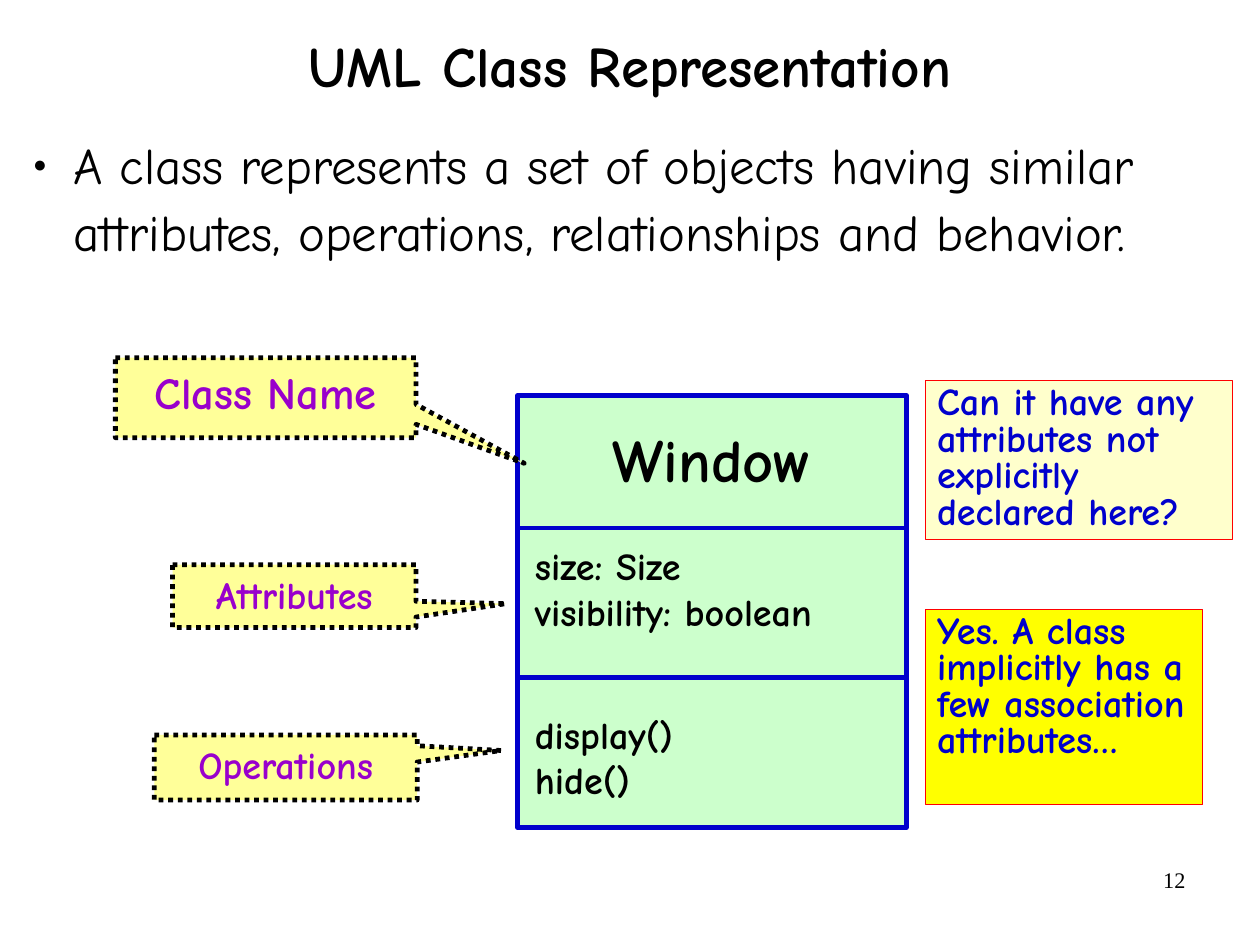
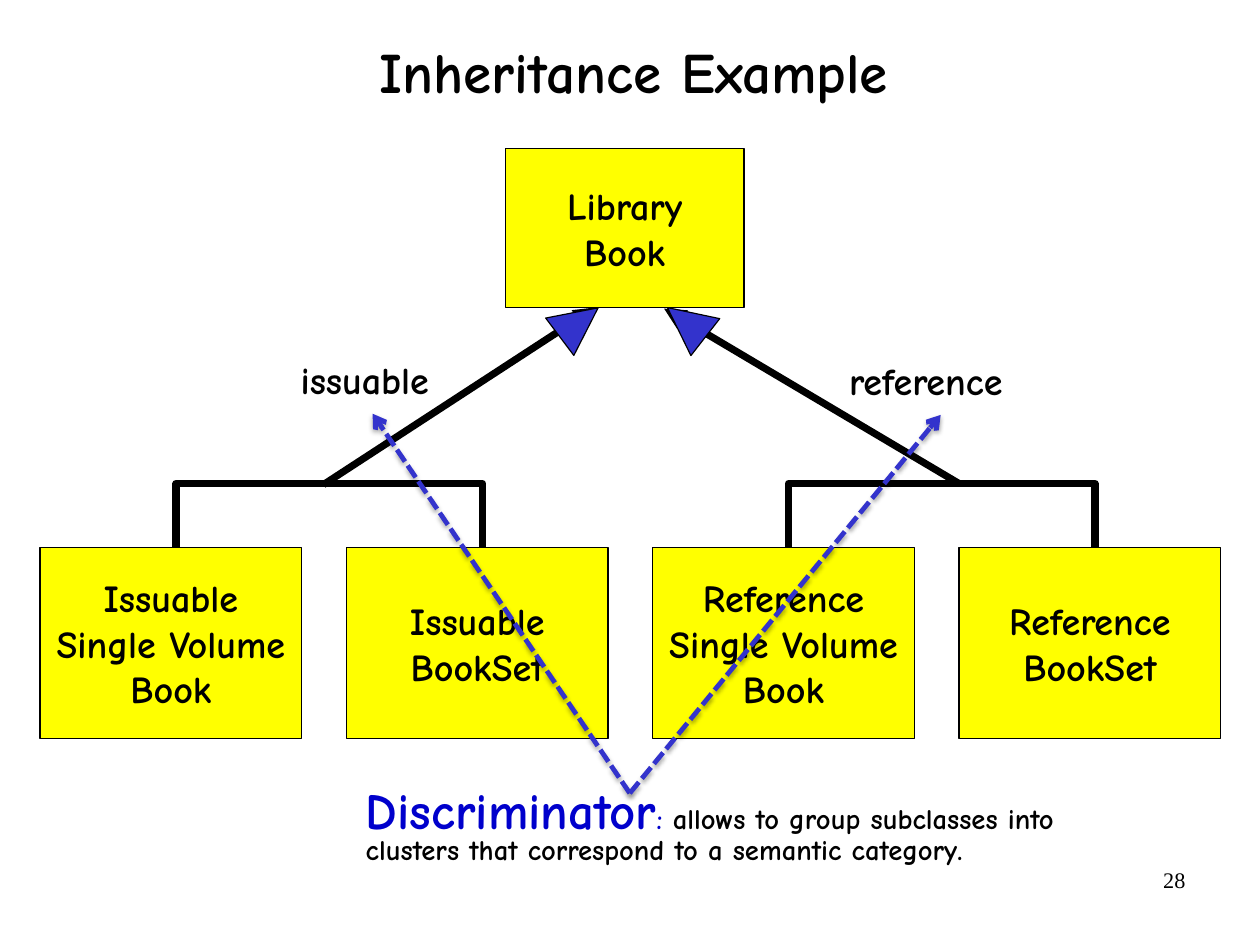
import pptx
import pptx.util
import pptx.dml.color
import pptx.enum.dml
import pptx.enum.shapes
import pptx.enum.text
import pptx.oxml

Inches = pptx.util.Inches
Pt = pptx.util.Pt
RGB = pptx.dml.color.RGBColor.from_string
SHAPE = pptx.enum.shapes.MSO_SHAPE
DASH = pptx.enum.dml.MSO_LINE
ALIGN = {"left": pptx.enum.text.PP_ALIGN.LEFT,
         "center": pptx.enum.text.PP_ALIGN.CENTER,
         "right": pptx.enum.text.PP_ALIGN.RIGHT}
ANCHOR = {"top": pptx.enum.text.MSO_ANCHOR.TOP,
          "middle": pptx.enum.text.MSO_ANCHOR.MIDDLE}
NS = 'xmlns:a="http://schemas.openxmlformats.org/drawingml/2006/main"'
FONT = "Comic Neue"
NUMBER_FONT = "Times New Roman"
COLOURS = {
    "black": "000000", "blue": "0000CC", "arrow": "3333CC", "purple": "9900CC",
    "red": "FF0000", "yellow": "FFFF00", "cream": "FFFFCC", "callout": "FFFF99",
    "green": "CCFFCC",
}
SHADOW = ('<a:outerShdw blurRad="39370" dist="22860" dir="5400000">'
          '<a:srgbClr val="000000"><a:alpha val="35000"/></a:srgbClr></a:outerShdw>')
BULLET = ('<a:buSzPct {0} val="45000"/>',
          '<a:buFont {0} typeface="Times New Roman"/>',
          '<a:buChar {0} char="●"/>')


def add_text(page, area, text, shape=None, fill=None, line=None, line_width=0.75,
             dash=None, size=24, colour="black", bold=True, font=FONT, align="left",
             anchor="top", margins=(0, 0), spacing=None, bullet=False):
    place = [Inches(length) for length in area]
    if shape is None:
        box = page.shapes.add_textbox(*place)
    else:
        box = page.shapes.add_shape(shape, *place)
        box.shadow.inherit = False
        box.fill.solid()
        box.fill.fore_color.rgb = RGB(COLOURS[fill])
        box.line.color.rgb = RGB(COLOURS[line])
        box.line.width = Pt(line_width)
        if dash is not None:
            box.line.dash_style = dash
    frame = box.text_frame
    frame.word_wrap = True
    frame.vertical_anchor = ANCHOR[anchor]
    frame.margin_left = frame.margin_right = Inches(margins[0])
    frame.margin_top = frame.margin_bottom = Inches(margins[1])
    if isinstance(text, str):
        text = [[(row, size, colour)] for row in text.splitlines()]
    for index, spans in enumerate(text):
        para = frame.paragraphs[0] if index == 0 else frame.add_paragraph()
        para.alignment = ALIGN[align]
        if spacing is not None:
            para.line_spacing = spacing
        if bullet:
            props = para._p.get_or_add_pPr()
            props.set("marL", str(Inches(0.46)))
            props.set("indent", str(Inches(-0.35)))
            for element in BULLET:
                props.append(pptx.oxml.parse_xml(element.format(NS)))
        for words, span_size, span_colour in spans:
            span = para.add_run()
            span.text = words
            span.font.name = font
            span.font.size = Pt(span_size)
            span.font.bold = bold
            span.font.color.rgb = RGB(COLOURS[span_colour])
    return box


def add_line(page, start, end, colour, width, dash=None, tip=None, effect=""):
    line = page.shapes.add_connector(
        pptx.enum.shapes.MSO_CONNECTOR.STRAIGHT,
        *[Inches(length) for length in (*start, *end)])
    line.line.color.rgb = RGB(COLOURS[colour])
    line.line.width = Pt(width)
    if dash is not None:
        line.line.dash_style = dash
    if tip:
        line.line._get_or_add_ln().append(
            pptx.oxml.parse_xml(f'<a:tailEnd {NS} type="{tip}"/>'))
    line._element.spPr.append(
        pptx.oxml.parse_xml(f"<a:effectLst {NS}>{effect}</a:effectLst>"))


deck = pptx.Presentation()
deck.slide_width = Inches(28 / 2.54)
deck.slide_height = Inches(21 / 2.54)

class_page = deck.slides.add_slide(deck.slide_layouts[6])
inheritance_page = deck.slides.add_slide(deck.slide_layouts[6])

for page, title, number, area, spacing in (
    (class_page, "UML Class Representation", "12", (0.81, 0.17, 9.4, 0.88), 0.88),
    (inheritance_page, "Inheritance Example", "28", (0.86, -0.04, 9.37, 1.37), 0.94),
):
    add_text(page, area, title, size=36, align="center", anchor="middle",
             spacing=spacing)
    add_text(page, (7.9, 7.53, 2.57, 0.57), number, size=14, bold=False,
             font=NUMBER_FONT, align="right", margins=(0.1, 0.05))

add_text(class_page, (0.18, 1.12, 10.67, 2.28),
         "A class represents a set of objects having similar attributes, "
         "operations, relationships and behavior.",
         size=32, bold=False, spacing=1.1, bullet=True)

add_text(class_page, (4.53, 3.46, 3.4, 3.78), "", shape=SHAPE.RECTANGLE,
         fill="green", line="blue", line_width=3)
for divider in (4.62, 5.93):
    add_line(class_page, (4.53, divider), (7.93, divider), "blue", 3)
add_text(class_page, (4.68, 3.63, 3.1, 0.74), "Window", size=38,
         align="center", margins=(0.11, 0.06))
for top, members in ((4.75, "size: Size\nvisibility: boolean"),
                     (6.22, "display()\nhide()")):
    add_text(class_page, (4.68, top, 3.1, 0.8), members, anchor="middle")

for label, area, size, tip in (
    ("Class Name", (1.01, 3.13, 2.63, 0.7), 28, (0.86, 0.82)),
    ("Attributes", (1.51, 4.94, 2.13, 0.55), 24, (0.87, 0.12)),
    ("Operations", (1.35, 6.43, 2.3, 0.57), 24, (0.82, -0.26)),
):
    callout = add_text(class_page, area, label, shape=SHAPE.RECTANGULAR_CALLOUT,
                       fill="callout", line="black", line_width=3,
                       dash=DASH.ROUND_DOT, size=size, colour="purple",
                       align="center", margins=(0.11, 0.06))
    callout.adjustments[0], callout.adjustments[1] = tip

for note, area, fill in (
    ("Yes. A class implicitly has a few association attributes…",
     (8.1, 5.33, 2.42, 1.71), "yellow"),
    ("Can it have any attributes not explicitly declared here?",
     (8.1, 3.33, 2.68, 1.39), "cream"),
):
    add_text(class_page, area, note, shape=SHAPE.RECTANGLE, fill=fill, line="red",
             colour="blue", margins=(0.1, 0.05), spacing=0.8)

pitch = 2.68
class_boxes = [("Library\nBook", (4.42, 1.3, 2.09, 1.39))]
subclasses = ("Issuable\nSingle Volume\nBook", "Issuable\nBookSet",
              "Reference\nSingle Volume\nBook", "Reference\nBookSet")
for index, name in enumerate(subclasses):
    class_boxes.append((name, (0.35 + index * pitch, 4.79, 2.29, 1.67)))
for name, area in class_boxes:
    add_text(inheritance_page, area, name, shape=SHAPE.RECTANGLE, fill="yellow",
             line="black", align="center", anchor="middle")

add_text(inheritance_page, (3.2, 6.94, 6.4, 0.61),
         [[("Discriminator", 32, "blue"), (": ", 18, "blue"),
           ("allows to group subclasses into", 18, "black")],
          [("clusters that correspond to a semantic category.", 18, "black")]],
         anchor="middle", spacing=0.8)

for left in (1.54, 1.54 + 2 * pitch):
    right = left + pitch
    outline = inheritance_page.shapes.build_freeform(Inches(left), Inches(4.79))
    outline.add_line_segments(
        [(Inches(x), Inches(y)) for x, y in ((left, 4.23), (right, 4.23), (right, 4.79))],
        close=False)
    fork = outline.convert_to_shape()
    fork.shadow.inherit = False
    fork.fill.background()
    fork.line.color.rgb = RGB(COLOURS["black"])
    fork.line.width = Pt(4.5)

for start, end in (((2.83, 4.24), (5.21, 2.69)), ((8.39, 4.23), (5.81, 2.7))):
    add_line(inheritance_page, start, end, "black", 4.5, tip="triangle")
for label, area in (("issuable", (2.63, 3.12, 1.26, 0.5)),
                    ("reference", (7.43, 3.13, 1.6, 0.5))):
    add_text(inheritance_page, area, label)
for end in ((3.26, 3.62), (8.23, 3.63)):
    add_line(inheritance_page, (5.51, 6.94), end, "arrow", 3,
             dash=DASH.SQUARE_DOT, tip="arrow", effect=SHADOW)
for left, angle in ((4.86, 53), (5.8, 308)):
    head = add_text(inheritance_page, (left, 2.61, 0.41, 0.42), "",
                    shape=SHAPE.ISOSCELES_TRIANGLE, fill="arrow", line="black")
    head.rotation = angle

deck.save("out.pptx")
